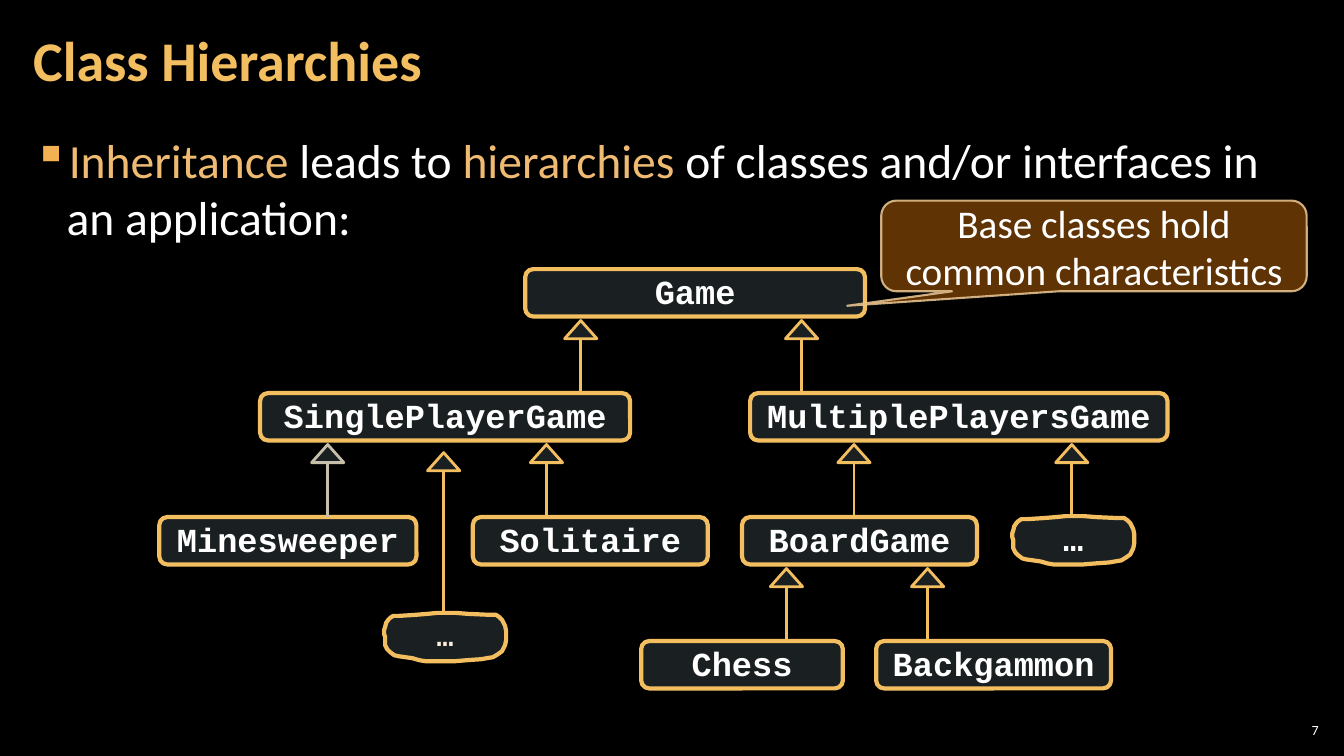
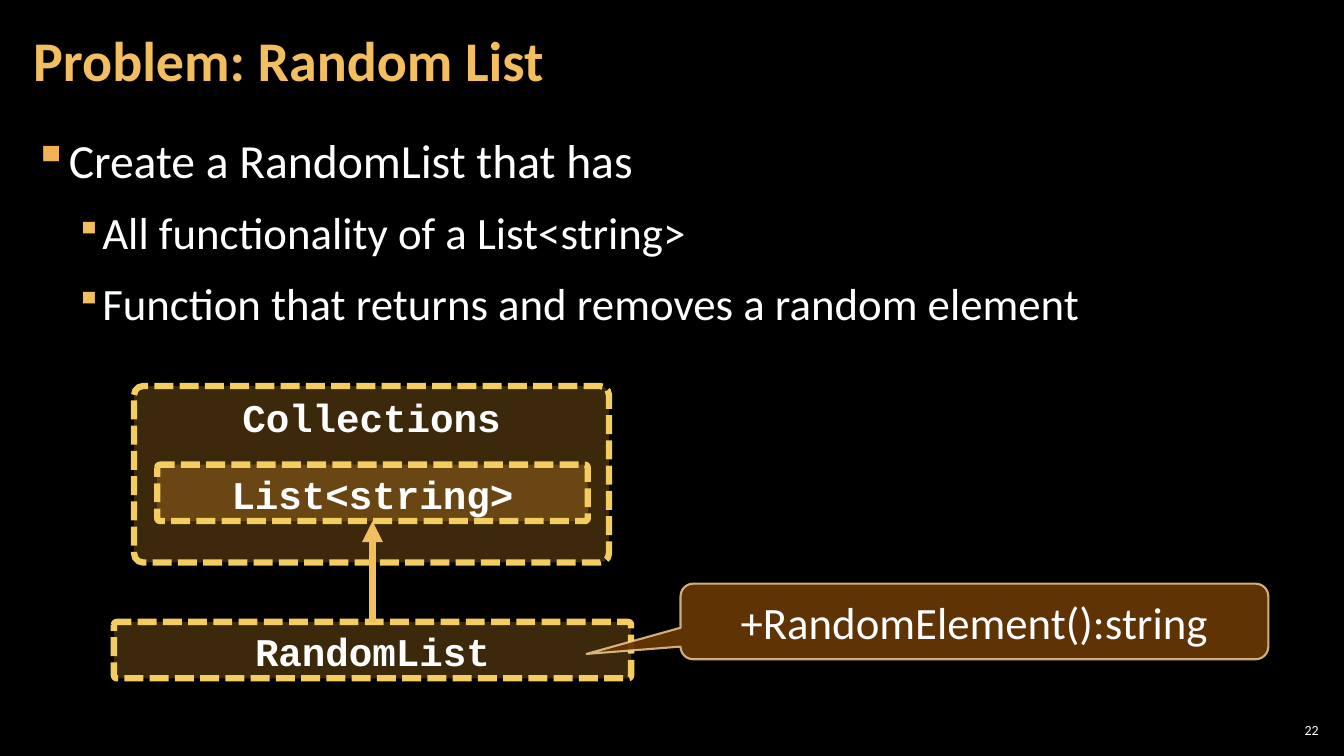
import lxml.etree
import pptx
import pptx.dml.color
import pptx.enum.dml
import pptx.enum.shapes
import pptx.enum.text
import pptx.oxml.ns
import pptx.util

PX = 9144  # EMU per px, 100 px to the inch
COLORS = {
    "background": "000000", "text": "FFFFFF", "gold": "F3BE60", "accent": "EFBB72",
    "bullet": "F2B254", "node": "B5DBE5", "grey": "C7BFAC", "cream": "FBEEDC",
    "callout": "663606", "callout_line": "F8D49E", "panel": "F0A22E", "panel_line": "F3CD60",
}
BODY_FONT, CODE_FONT = "Calibri", "Courier New"
SHAPES = pptx.enum.shapes.MSO_SHAPE
ALIGN = pptx.enum.text.PP_ALIGN
ANCHOR = pptx.enum.text.MSO_ANCHOR
DASHED = pptx.enum.dml.MSO_LINE.SQUARE_DOT

TITLE_BOX = (21, 4, 1047, 121)
BODY_BOX = (21, 126, 1291, 609)
NUMBER_BOX = (1265, 714, 47, 21)

NODE_HEIGHT, LEVEL_STEP = 47, 123
HEAD_WIDTH, HEAD_HEIGHT, HEAD_GAP = 32, 18, 4
CLOUD = [
    (0, 17), (1, 14), (2, 10), (4, 7), (6, 5), (9, 3), (15, 3), (31, 2), (43, 1), (53, 0),
    (71, 0), (83, 1), (105, 2), (111, 2), (114, 4), (117, 7), (120, 13), (121, 18),
    (121, 27), (120, 32), (117, 38), (113, 41), (108, 44), (102, 45), (96, 46), (82, 47),
    (70, 48), (41, 48), (35, 47), (28, 45), (14, 43), (10, 42), (6, 39), (3, 36), (1, 32),
    (1, 24), (0, 21),
]
# name, left, level, width
NODES = [
    ("Game", 363, 0, 337), ("MultiplePlayersGame", 586, 1, 414), ("BoardGame", 578, 2, 233),
    ("Chess", 478, 3, 200), ("Backgammon", 711, 3, 233), ("SinglePlayerGame", 100, 1, 367),
    ("Minesweeper", 0, 2, 255), ("Solitaire", 311, 2, 233),
]
# centre, level of the base class, colour
ARROWS = [
    (418, 0, "gold"), (637, 0, "gold"), (167, 1, "grey"), (384, 1, "gold"),
    (689, 1, "gold"), (905, 1, "gold"), (622, 2, "gold"), (762, 2, "gold"),
]


def emu(*lengths):
    return [pptx.util.Emu(length * PX) for length in lengths]


def rgb(name):
    return pptx.dml.color.RGBColor.from_string(COLORS[name])


def add_child(parent, tag, **attributes):
    return lxml.etree.SubElement(parent, pptx.oxml.ns.qn(tag), **attributes)


# Text
def write(frame, text, size=24, color="text", font=BODY_FONT, bold=False, align=ALIGN.LEFT,
          line_spacing=None, before=0, after=0, bullet=None):
    """Add one paragraph; text is a string or a list of (text, colour) pairs."""
    paragraph = frame.add_paragraph() if frame.text else frame.paragraphs[0]
    paragraph.alignment = align
    paragraph.line_spacing = line_spacing
    paragraph.space_before = pptx.util.Pt(before)
    paragraph.space_after = pptx.util.Pt(after)
    if bullet:
        indent, hanging, bullet_color, percent = bullet
        properties = paragraph._p.get_or_add_pPr()
        properties.set("marL", str(indent * PX))
        properties.set("indent", str(-hanging * PX))
        add_child(add_child(properties, "a:buClr"), "a:srgbClr", val=COLORS[bullet_color])
        add_child(properties, "a:buSzPct", val=str(percent * 1000))
        add_child(properties, "a:buChar", char="▪")
    for words, run_color in [(text, color)] if isinstance(text, str) else text:
        run = paragraph.add_run()
        run.text = words
        run.font.size = pptx.util.Pt(size)
        run.font.name = font
        run.font.bold = bold
        run.font.color.rgb = rgb(run_color)


def add_text_box(slide, box, side=12, anchor=ANCHOR.TOP):
    frame = slide.shapes.add_textbox(*emu(*box)).text_frame
    frame.word_wrap = True
    frame.vertical_anchor = anchor
    frame.margin_left, frame.margin_right, frame.margin_top, frame.margin_bottom = emu(
        side, side, 4, 4)
    return frame


# Shapes and lines
def style_shape(shape, fill, opacity, line, width, line_opacity=100, dash=None):
    shape.shadow.inherit = False
    shape.fill.solid()
    shape.fill.fore_color.rgb = rgb(fill)
    shape.line.color.rgb = rgb(line)
    shape.line.width = pptx.util.Pt(width)
    if dash:
        shape.line.dash_style = dash
    properties = shape._element.spPr
    for query, percent in (("a:solidFill/a:srgbClr", opacity),
                           ("a:ln/a:solidFill/a:srgbClr", line_opacity)):
        add_child(properties.xpath(query)[0], "a:alpha", val=str(percent * 1000))
    return shape


def add_line(slide, start, end, color, width, arrow=False):
    connector = slide.shapes.add_connector(
        pptx.enum.shapes.MSO_CONNECTOR.STRAIGHT, *emu(*start, *end))
    connector.line.color.rgb = rgb(color)
    connector.line.width = pptx.util.Pt(width)
    if arrow:
        add_child(connector.line._get_or_add_ln(), "a:tailEnd", type="triangle")
    add_child(connector._element.spPr, "a:effectLst")
    return connector


def add_callout(slide, box, text, size, pointer):
    shape = slide.shapes.add_shape(SHAPES.ROUNDED_RECTANGULAR_CALLOUT, *emu(*box))
    shape.adjustments[0], shape.adjustments[1] = pointer
    style_shape(shape, "callout", 95, "callout_line", 1.5, line_opacity=80)
    shape.text_frame.word_wrap = True
    shape.text_frame.vertical_anchor = ANCHOR.MIDDLE
    write(shape.text_frame, text, size=size, align=ALIGN.CENTER)


# Class hierarchy
def label_node(shape, text, size=24, color="text"):
    style_shape(shape, "node", 15, "gold", 3)
    shape.text_frame.word_wrap = False
    shape.text_frame.vertical_anchor = ANCHOR.MIDDLE
    write(shape.text_frame, text, size=size, color=color, font=CODE_FONT, bold=True,
          align=ALIGN.CENTER, line_spacing=0.95)


def add_cloud(slide, left, top, **text_format):
    builder = slide.shapes.build_freeform(*CLOUD[0], scale=PX)
    builder.add_line_segments(CLOUD[1:], close=True)
    label_node(builder.convert_to_shape(*emu(left, top)), "…", **text_format)


def add_inheritance(slide, center, top, bottom, color):
    base = top + HEAD_HEIGHT
    head = slide.shapes.add_shape(
        SHAPES.ISOSCELES_TRIANGLE,
        *emu(center - HEAD_WIDTH // 2, top, HEAD_WIDTH, HEAD_HEIGHT))
    style_shape(head, "node", 15, color, 2)
    add_line(slide, (center, base), (center, bottom), color, 2)


def add_hierarchy(slide, left, top):
    for name, x, level, width in NODES:
        box = (left + x, top + level * LEVEL_STEP, width, NODE_HEIGHT)
        label_node(slide.shapes.add_shape(SHAPES.ROUNDED_RECTANGLE, *emu(*box)), name)
    for center, level, color in ARROWS:
        row_top = top + level * LEVEL_STEP
        add_inheritance(slide, left + center, row_top + NODE_HEIGHT + HEAD_GAP,
                        row_top + LEVEL_STEP, color)
    add_cloud(slide, left + 846, top + 2 * LEVEL_STEP - 1)
    add_inheritance(slide, left + 282, top + 182, top + 341, "gold")
    add_cloud(slide, left + 223, top + 341, size=20, color="cream")


# Library diagram
def add_panel(slide, box, text):
    shape = slide.shapes.add_shape(SHAPES.ROUNDED_RECTANGLE, *emu(*box))
    shape.adjustments[0] = 0.05
    style_shape(shape, "panel", 25, "panel_line", 4.5, dash=DASHED)
    shape.text_frame.word_wrap = True
    shape.text_frame.vertical_anchor = ANCHOR.TOP
    write(shape.text_frame, text, size=28, font=CODE_FONT, bold=True, align=ALIGN.CENTER)
    return shape


def add_library(slide, left, top):
    add_panel(slide, (left + 20, top, 471, 175), "Collections")
    parent = add_panel(slide, (left + 43, top + 78, 427, 56), "List<string>")
    child = add_panel(slide, (left, top + 234, 513, 56), "RandomList")
    center = left + 257
    arrow = add_line(slide, (center, top + 234), (center, top + 134), "gold", 5, arrow=True)
    arrow.begin_connect(child, 0)
    arrow.end_connect(parent, 2)


# Slides
def add_base_slide(presentation, title, number, body):
    slide = presentation.slides.add_slide(presentation.slide_layouts[6])
    slide.background.fill.solid()
    slide.background.fill.fore_color.rgb = rgb("background")
    body_frame = add_text_box(slide, BODY_BOX)
    for index, (text, level) in enumerate(body):
        write(body_frame, text, size=(34, 32)[level], before=6 if index else 0, after=6,
              bullet=((33, 33, "bullet", 100), (67, 25, "gold", 80))[level])
    write(add_text_box(slide, TITLE_BOX, anchor=ANCHOR.MIDDLE), title, size=40, color="gold",
          bold=True, line_spacing=pptx.util.Pt(40))
    write(add_text_box(slide, NUMBER_BOX, side=4, anchor=ANCHOR.MIDDLE), str(number), size=10,
          align=ALIGN.RIGHT)
    return slide


def add_hierarchies_slide(presentation):
    sentence = [
        ("Inheritance", "accent"), (" leads to ", "text"), ("hierarchies", "accent"),
        (" of classes and/or interfaces in an application:", "text"),
    ]
    slide = add_base_slide(presentation, "Class Hierarchies", 7, [(sentence, 0)])
    add_hierarchy(slide, 158, 267)
    add_callout(slide, (874, 199, 422, 90), "Base classes hold common characteristics", 28,
                (-0.58, 0.66))


def add_random_list_slide(presentation):
    slide = add_base_slide(presentation, "Problem: Random List", 22, [
        ("Create a RandomList that has", 0),
        ("All functionality of a List<string>", 1),
        ("Function that returns and removes a random element", 1),
    ])
    add_library(slide, 113, 383)
    add_callout(slide, (675, 579, 583, 75), "+RandomElement():string", 32, (-0.66, 0.43))


def main():
    presentation = pptx.Presentation()
    presentation.slide_width, presentation.slide_height = emu(1333, 750)
    add_hierarchies_slide(presentation)
    add_random_list_slide(presentation)
    presentation.save("out.pptx")


if __name__ == "__main__":
    main()
